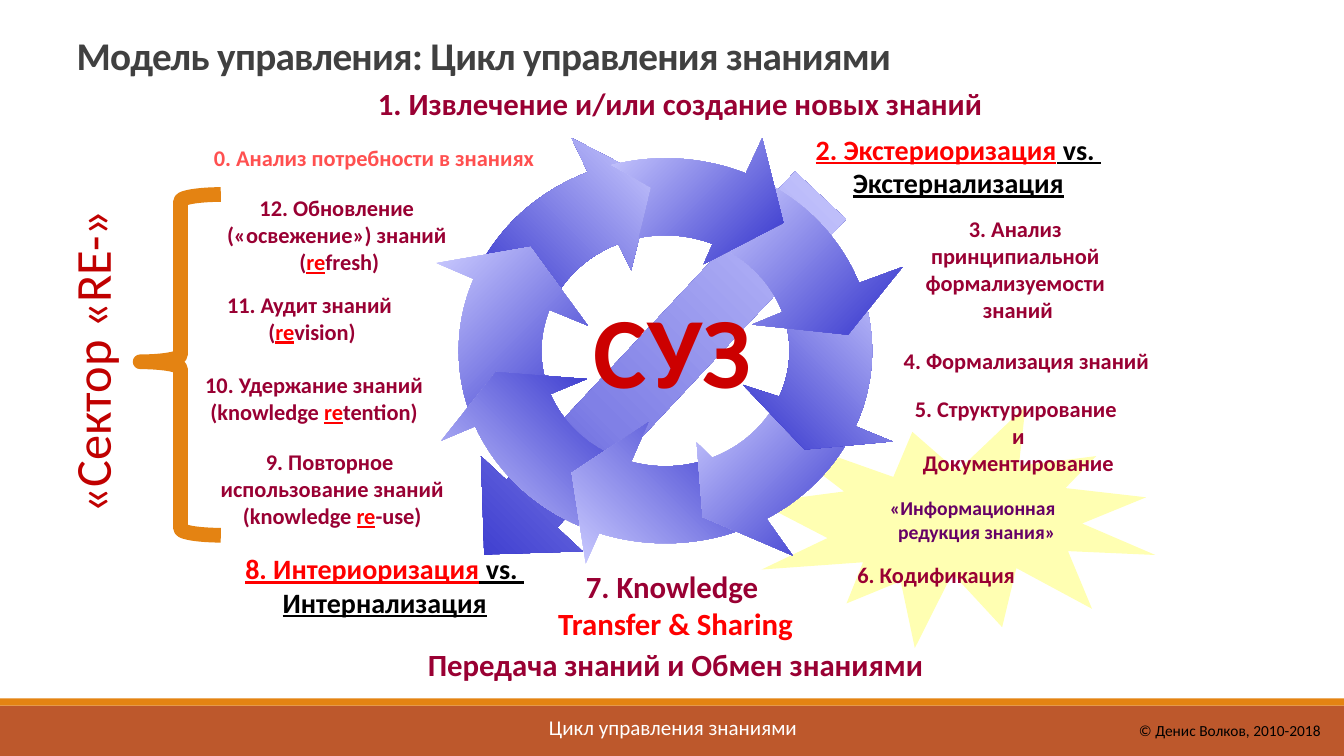
from copy import deepcopy
from dataclasses import dataclass
from math import atan2, cos, pi, remainder, sin

from lxml.etree import SubElement
from pptx import Presentation
from pptx.dml.color import RGBColor
from pptx.enum.shapes import MSO_SHAPE as Shape
from pptx.enum.text import MSO_ANCHOR as Anchor, PP_ALIGN as Align
from pptx.oxml.ns import qn
from pptx.util import Inches, Pt


@dataclass(frozen=True)
class Theme:
    font: str = "Calibri"
    title: str = "404040"
    label: str = "990033"
    need: str = "FF5050"
    accent: str = "FF0000"
    hub: str = "CC0000"
    sector: str = "C00000"
    note: str = "660066"
    burst: str = "FFFF00"
    orange: str = "E48312"
    rust: str = "BD582C"
    black: str = "000000"
    white: str = "FFFFFF"
    dark: str = "3333CC"
    middle: str = "8080E6"
    light: str = "CCCCFF"
    title_size: float = 28
    hub_size: float = 72
    sector_size: float = 36
    stage_size: float = 22
    versus_size: float = 20
    label_size: float = 16
    footer_size: float = 15
    note_size: float = 14
    copyright_size: float = 11


THEME = Theme()


@dataclass(frozen=True)
class Box:
    left: float
    top: float
    width: float
    height: float

    def area(self, left, top, width, height):
        return Box(self.left + left, self.top + top, width, height)

    def lengths(self):
        return [Inches(n) for n in (self.left, self.top, self.width, self.height)]


def write(shape, paras, size, color, bold=True, underline=False, align=Align.CENTER,
          anchor=Anchor.TOP, wrap=True, inset=(0.1, 0.05)):
    """Fill a shape with paragraphs; *stars* mark red underlined words."""
    frame = shape.text_frame
    frame.word_wrap, frame.vertical_anchor = wrap, anchor
    frame.margin_left = frame.margin_right = Inches(inset[0])
    frame.margin_top = frame.margin_bottom = Inches(inset[1])
    for index, text in enumerate(paras):
        para = frame.paragraphs[0] if index == 0 else frame.add_paragraph()
        para.alignment = align
        font = para.font
        font.name, font.size, font.bold = THEME.font, Pt(size), bold
        font.underline = underline
        font.color.rgb = RGBColor.from_string(color)
        for number, phrase in enumerate(text.split("*")):
            for row, line in enumerate(phrase.split("\n")):
                if row:
                    para.add_line_break()
                if not line:
                    continue
                span = para.add_run()
                span.text = line
                if number % 2:
                    span.font.underline = True
                    span.font.color.rgb = RGBColor.from_string(THEME.accent)


def add_text(page, box, paras, size, color, **style):
    shape = page.shapes.add_textbox(*box.lengths())
    write(shape, paras, size, color, **style)
    return shape


def add_solid(page, kind, box, color):
    shape = page.shapes.add_shape(kind, *box.lengths())
    shape.shadow.inherit = False
    shape.fill.solid()
    shape.fill.fore_color.rgb = RGBColor.from_string(color)
    shape.line.fill.background()
    return shape


def paint_gradient(shape, stops, angle):
    """Blend (position, colour) stops along a counter-clockwise angle."""
    shape.shadow.inherit = False
    shape.line.fill.background()
    shape.fill.gradient()
    shape.fill.gradient_angle = angle
    gradient = shape._element.spPr.find(qn("a:gradFill"))
    gradient.set("rotWithShape", "0")
    stop_list = gradient.find(qn("a:gsLst"))
    while len(stop_list) < len(stops):
        stop_list.append(deepcopy(stop_list[0]))
    for stop, (position, color) in zip(shape.fill.gradient_stops, stops):
        stop.position = position
        stop.color.rgb = RGBColor.from_string(color)


def add_title(page, box):
    shape = add_text(page, box, ["Модель управления: Цикл управления знаниями"],
                     THEME.title_size, THEME.title, align=Align.LEFT, inset=(0, 0.05))
    para = shape.text_frame.paragraphs[0]
    para.line_spacing = 0.9
    para.runs[0]._r.get_or_add_rPr().set("spc", "-50")


def add_footer(page, box):
    add_solid(page, Shape.RECTANGLE, box.area(0, 0.07, box.width, 0.5), THEME.rust)
    add_solid(page, Shape.RECTANGLE, box.area(0, 0, box.width, 0.07), THEME.orange)
    add_text(page, box.area(11.17, 0.17, 2.03, 0.29), ["© Денис Волков, 2010-2018"],
             THEME.copyright_size, THEME.black, bold=False, align=Align.RIGHT, wrap=False)
    add_text(page, box.area(2.48, 0.11, 8.39, 0.35), ["Цикл управления знаниями"],
             THEME.footer_size, THEME.white, bold=False)


def add_burst(page, box):
    burst = add_solid(page, Shape.EXPLOSION1, box, THEME.burst)
    color = burst._element.spPr.find(qn("a:solidFill"))[0]
    SubElement(color, qn("a:alpha")).set("val", "30000")
    write(burst, ["«Информационная редукция знания»"], THEME.note_size, THEME.note,
          align=Align.RIGHT, anchor=Anchor.MIDDLE)


RISING, FALLING = 45, 315
TO_LIGHT = [(0, THEME.dark), (1, THEME.light)]
TO_DARK = [(0, THEME.light), (1, THEME.dark)]
THROUGH = [(0, THEME.dark), (0.05, THEME.dark), (0.4, THEME.middle), (1, THEME.light)]
# Offsets from the ring centre: outer arc ends, arrowhead, inner arc ends, tail notch
RING_ARROWS = [
    (TO_LIGHT, RISING, [(-1.94, -0.79), (-0.79, -1.82)],
     [(-0.93, -2.11), (-0.12, -1.69), (-0.34, -0.8)], [(-0.47, -1.07), (-1.15, -0.45)], []),
    (TO_DARK, FALLING, [(-1.9, 0.84), (-1.92, -0.72)],
     [(-2.27, -0.87), (-1.34, -1.03), (-0.77, -0.25)], [(-1.16, -0.41), (-1.18, 0.4)], []),
    (TO_DARK, RISING, [(-0.86, 1.73), (-1.89, 0.75)],
     [(-2.22, 0.89), (-1.68, 0.21), (-0.78, 0.28)], [(-1.14, 0.43), (-0.51, 1.03)], []),
    (TO_DARK, RISING, [(0.97, 1.77), (-0.65, 1.79)],
     [(-0.79, 2.11), (-0.93, 1.21), (-0.17, 0.71)], [(-0.33, 1.07), (0.5, 1.09)], []),
    (TO_DARK, FALLING, [(1.92, 0.84), (1.04, 1.73)],
     [(1.26, 2.03), (0.37, 1.65), (0.31, 0.91)], [(0.49, 1.12), (1.16, 0.51)], []),
    (TO_LIGHT, RISING, [(1.9, -0.79), (1.91, 0.76)],
     [(2.25, 0.9), (1.38, 0.98), (0.77, 0.34)], [(1.14, 0.46), (1.18, -0.36)], []),
    (TO_DARK, FALLING, [(0.97, -1.72), (2, -0.7)],
     [(2.35, -0.83), (1.81, -0.16), (0.86, -0.26)], [(1.24, -0.41), (0.61, -1.01)], []),
    (TO_DARK, FALLING, [(-0.53, -1.82), (0.82, -1.81)],
     [(0.96, -2.11), (1.17, -1.27), (0.38, -0.86)], [(0.49, -1.11), (-0.26, -1.11)],
     [(-0.14, -1.62)]),
]


def arc(ends, radius_x, radius_y, steps=24):
    """Points on an ellipse, the short way between two directions."""
    start, end = [atan2(y / radius_y, x / radius_x) for x, y in ends]
    sweep = remainder(end - start, 2 * pi)
    angles = [start + sweep * step / steps for step in range(steps + 1)]
    return [(radius_x * cos(a), radius_y * sin(a)) for a in angles]


def add_ring(page, box):
    radius_x, radius_y = box.width / 2, box.height / 2
    center_x, center_y = box.left + radius_x, box.top + radius_y
    through = page.shapes.add_shape(Shape.DOWN_ARROW, *box.area(1.23, -0.29, 1.38, 4.88).lengths())
    through.rotation = 43.1
    paint_gradient(through, THROUGH, RISING)
    for stops, angle, outer, head, inner, notch in RING_ARROWS:
        offsets = (arc(outer, radius_x, radius_y) + head
                   + arc(inner, radius_x * 0.6, radius_y * 0.6) + notch)
        points = [(Inches(center_x + x), Inches(center_y + y)) for x, y in offsets]
        builder = page.shapes.build_freeform(*points[0])
        builder.add_line_segments(points[1:], close=True)
        paint_gradient(builder.convert_to_shape(), stops, angle)
    add_text(page, box.area(1.02, 1.23, 2.2, 1.32), ["СУЗ"], THEME.hub_size, THEME.hub)


PLAIN = (THEME.label_size, THEME.label, False)
NEED = (THEME.label_size, THEME.need, False)
VERSUS = (THEME.versus_size, THEME.black, True)
STAGE = (THEME.stage_size, THEME.label, False)
TOP_LABELS = [((0, 0, 6.07, 0.37), STAGE, ["1. Извлечение и/или создание новых знаний"])]
LEFT_LABELS = [
    ((0, 0.03, 3.22, 0.27), NEED, ["0. Анализ потребности в знаниях"]),
    ((0.14, 0.52, 2.25, 0.81), PLAIN, ["12. Обновление \n(«освежение») знаний \n(*re*fresh)"]),
    ((0.14, 1.48, 1.71, 0.54), PLAIN, ["11. Аудит знаний \n(*re*vision)"]),
    ((-1.1, 2.28, 4.23, 0.54), PLAIN, ["10. Удержание знаний", "(knowledge *re*tention)"]),
    ((0.08, 3.04, 2.23, 0.81), PLAIN,
     ["9. Повторное ", "использование знаний", "(knowledge *re*-use)"]),
    ((0.32, 4.07, 2.79, 0.67), VERSUS, ["*8. Интериоризация* vs. \nИнтернализация"]),
]
RIGHT_LABELS = [
    ((0.08, 0.01, 2.85, 0.67), VERSUS, ["*2. Экстериоризация* vs. \nЭкстернализация"]),
    ((1.17, 0.82, 1.85, 1.08), PLAIN, ["3. Анализ \nпринципиальной \nформализуемости \nзнаний"]),
    ((0.95, 2.14, 2.46, 0.27), PLAIN, ["4. Формализация знаний"]),
    ((0.56, 2.61, 3.08, 0.81), PLAIN, ["5. Структурирование \nи\nДокументирование"]),
    ((0.5, 4.26, 1.57, 0.27), PLAIN, ["6. Кодификация"]),
]


def add_labels(page, box, labels):
    for place, (size, color, underline), paras in labels:
        add_text(page, box.area(*place), paras, size, color, underline=underline,
                 anchor=Anchor.BOTTOM, wrap=False, inset=(0, 0))


def add_transfer(page, box):
    paras = ["7. Knowledge ", "Transfer & Sharing", "Передача знаний и Обмен знаниями"]
    shape = add_text(page, box, paras, THEME.stage_size, THEME.label,
                     anchor=Anchor.BOTTOM, inset=(0, 0))
    sharing, russian = shape.text_frame.paragraphs[1:]
    sharing.font.color.rgb = RGBColor.from_string(THEME.accent)
    russian.space_before = Pt(2.5)


def add_sector(page, box):
    brace = page.shapes.add_shape(Shape.LEFT_BRACE, *box.area(1.39, 0, 0.8, 3.38).lengths())
    brace.shadow.inherit = False
    brace.adjustments[0], brace.adjustments[1] = 0.083, 0.491
    brace.fill.background()
    brace.line.color.rgb = RGBColor.from_string(THEME.orange)
    brace.line.width = Pt(10.5)
    name = add_text(page, box.area(-0.72, 1.28, 3.25, 0.71), ["«Сектор «RE-»"],
                    THEME.sector_size, THEME.sector, bold=False, align=Align.LEFT, wrap=False)
    name.rotation = 270


def main():
    deck = Presentation()
    deck.slide_width, deck.slide_height = Inches(13.33), Inches(7.5)
    page = deck.slides.add_slide(deck.slide_layouts[6])
    add_footer(page, Box(0, 6.93, 13.33, 0.57))
    add_burst(page, Box(7.53, 4.03, 3.93, 2.4))
    add_title(page, Box(0.76, 0.31, 9.32, 0.71))
    add_ring(page, Box(4.55, 1.57, 4.1, 3.82))
    add_labels(page, Box(3.71, 0.84, 6.07, 0.37), TOP_LABELS)
    add_labels(page, Box(2.1, 1.4, 3.22, 4.74), LEFT_LABELS)
    add_labels(page, Box(8, 1.3, 3.64, 4.53), RIGHT_LABELS)
    add_transfer(page, Box(3.91, 5.64, 5.58, 1.13))
    add_sector(page, Box(0, 1.93, 2.19, 3.38))
    deck.save("out.pptx")


if __name__ == "__main__":
    main()
